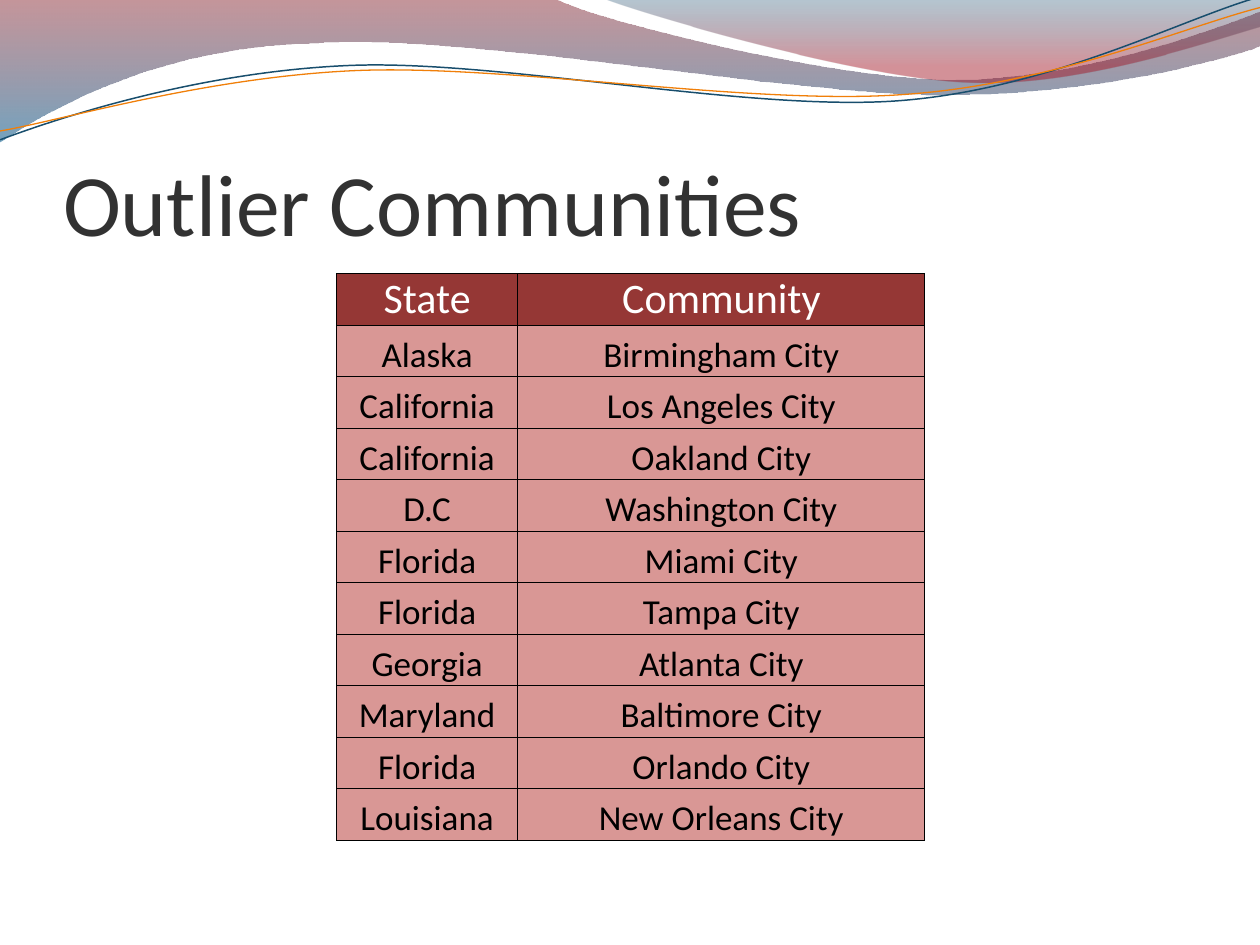
import math
from dataclasses import dataclass

from lxml import etree
from pptx import Presentation
from pptx import util as u
from pptx.dml.color import RGBColor
from pptx.enum import text
from pptx.oxml.ns import qn

COLORS = {
    "title": "323232", "header": "953735", "body": "D99795",
    "white": "FFFFFF", "black": "000000",
    "maroon": "7E1621", "blue": "005689", "navy": "094467", "red": "A10F1F",
    "teal": "184E6D", "orange": "F07F09",
}
FONT = "Calibri"
LINE_TILT = -2.7
LINE_CENTER = (4.99, 0.58)
COMMUNITIES = [
    ("Alaska", "Birmingham"), ("California", "Los Angeles"),
    ("California", "Oakland"), ("D.C", "Washington"),
    ("Florida", "Miami"), ("Florida", "Tampa"), ("Georgia", "Atlanta"),
    ("Maryland", "Baltimore"), ("Florida", "Orlando"),
    ("Louisiana", "New Orleans"),
]


@dataclass
class Stop:
    position: float
    color: str
    opacity: int


@dataclass
class Wave:
    start: tuple
    segments: list
    stops: tuple = ()
    line: str = ""
    width: float = 0


WAVES = [
    Wave((0, 0), [
        (4.4, -0.01),
        (4.76, 0.17, 6.64, 0.63, 7.58, 0.63), (8.53, 0.63, 9.58, 0.26, 10, 0.09),
        (10.01, 0.36),
        (9.83, 0.44, 8.7, 0.76, 7.46, 0.75), (6.22, 0.75, 3.82, 0.28, 2.57, 0.34),
        (1.29, 0.36, 0.46, 0.83, -0.01, 1.13),
    ], stops=(Stop(0, "maroon", 45), Stop(1, "blue", 55))),
    Wave((4.79, -0.01), [
        (5.09, 0.11, 6.82, 0.62, 7.69, 0.65), (8.56, 0.69, 9.61, 0.32, 10, 0.21),
        (10, 0),
    ], stops=(Stop(0, "navy", 30), Stop(0.8, "red", 45))),
    Wave((0, 1.11), [
        (0.48, 0.93, 1.58, 0.57, 2.77, 0.52), (3.95, 0.47, 5.93, 0.89, 7.13, 0.8),
        (8.33, 0.71, 9.38, 0.15, 9.98, -0.02),
    ], line="teal", width=0.85),
    Wave((0, 1.04), [
        (0.47, 0.96, 1.64, 0.61, 2.83, 0.56), (4.03, 0.51, 5.97, 0.84, 7.17, 0.75),
        (8.36, 0.67, 9.41, 0.21, 10, 0.06),
    ], line="orange", width=0.75),
]


def rgb(name: str) -> RGBColor:
    return RGBColor.from_string(COLORS[name])


def set_attrs(obj, values: dict) -> None:
    for name, value in values.items():
        setattr(obj, name, value)


def add_run(p, content: str, size: float, color: str) -> None:
    r = p.add_run()
    r.text = content
    set_attrs(r.font, {"name": FONT, "size": u.Pt(size)})
    r.font.color.rgb = rgb(color)


def to_points(values: tuple, tilt: float) -> list:
    angle = math.radians(-tilt)
    cx, cy = LINE_CENTER
    points = []
    for x, y in zip(values[::2], values[1::2]):
        dx, dy = x - cx, y - cy
        points.append((
            u.Inches(cx + dx * math.cos(angle) - dy * math.sin(angle)),
            u.Inches(cy + dx * math.sin(angle) + dy * math.cos(angle))))
    return points


def bend_segments(sp, segments: list) -> None:
    left, top = sp.left, sp.top
    for node, points in zip(list(sp._element.iter(qn("a:lnTo"))), segments):
        if len(points) == 1:
            continue
        curve = etree.Element(qn("a:cubicBezTo"))
        for x, y in points:
            etree.SubElement(curve, qn("a:pt"), x=str(x - left), y=str(y - top))
        node.getparent().replace(node, curve)


def draw_wave(s, wave: Wave) -> None:
    tilt = LINE_TILT if wave.line else 0
    segments = [to_points(segment, tilt) for segment in wave.segments]
    builder = s.shapes.build_freeform(*to_points(wave.start, tilt)[0])
    builder.add_line_segments([points[-1] for points in segments],
                              close=bool(wave.stops))
    sp = builder.convert_to_shape()
    bend_segments(sp, segments)
    sp.rotation = tilt
    sp.shadow.inherit = False
    if wave.line:
        sp.fill.background()
        sp.line.color.rgb = rgb(wave.line)
        sp.line.width = u.Pt(wave.width)
        return
    sp.line.fill.background()
    sp.fill.gradient()
    sp.fill.gradient_angle = 270
    for target, stop in zip(sp.fill.gradient_stops, wave.stops):
        target.position = stop.position
        target.color.rgb = rgb(stop.color)
    for color, stop in zip(sp.fill._xPr.iter(qn("a:srgbClr")), wave.stops):
        etree.SubElement(color, qn("a:alpha"), val=str(stop.opacity * 1000))


def draw_title(s, content: str) -> None:
    sp = s.shapes.title
    set_attrs(sp, {"left": u.Inches(0.5), "top": u.Inches(0.77),
                   "width": u.Inches(9), "height": u.Inches(1.25)})
    tf = sp.text_frame
    set_attrs(tf, {"margin_left": 0, "margin_right": 0, "margin_bottom": 0,
                   "margin_top": u.Inches(0.05), "word_wrap": True,
                   "auto_size": text.MSO_AUTO_SIZE.NONE,
                   "vertical_anchor": text.MSO_ANCHOR.BOTTOM})
    p = tf.paragraphs[0]
    p.alignment = text.PP_ALIGN.LEFT
    add_run(p, content, 50, "title")


def fill_cell(cell, content: str, size: float, color: str, fill: str) -> None:
    set_attrs(cell, {"margin_left": 0, "margin_right": 0, "margin_top": 0,
                     "margin_bottom": 0, "vertical_anchor": text.MSO_ANCHOR.BOTTOM})
    tc_pr = cell._tc.get_or_add_tcPr()
    for side in ("lnL", "lnR", "lnT", "lnB"):
        border = etree.SubElement(tc_pr, qn(f"a:{side}"), w=str(u.Pt(0.5)))
        solid = etree.SubElement(border, qn("a:solidFill"))
        etree.SubElement(solid, qn("a:srgbClr"), val=COLORS["black"])
    cell.fill.solid()
    cell.fill.fore_color.rgb = rgb(fill)
    p = cell.text_frame.paragraphs[0]
    p.alignment = text.PP_ALIGN.CENTER
    add_run(p, content, size, color)


def draw_table(s) -> None:
    rows = [("State", "Community")]
    rows += [(state, f"{city} City") for state, city in COMMUNITIES]
    table = s.shapes.add_table(len(rows), 2, u.Inches(2.67), u.Inches(2.17),
                               u.Inches(4.67), u.Inches(4.5)).table
    table.horz_banding = False
    for column, width in zip(table.columns, (1.44, 3.23)):
        column.width = u.Inches(width)
    for row, contents in enumerate(rows):
        style = (20, "black", "body") if row else (24, "white", "header")
        for col, content in enumerate(contents):
            fill_cell(table.cell(row, col), content, *style)


def main() -> None:
    prs = Presentation()
    set_attrs(prs, {"slide_width": u.Inches(10), "slide_height": u.Inches(7.5)})
    s = prs.slides.add_slide(prs.slide_layouts[5])
    for wave in WAVES:
        draw_wave(s, wave)
    draw_title(s, "Outlier Communities")
    draw_table(s)
    prs.save("out.pptx")


if __name__ == "__main__":
    main()
